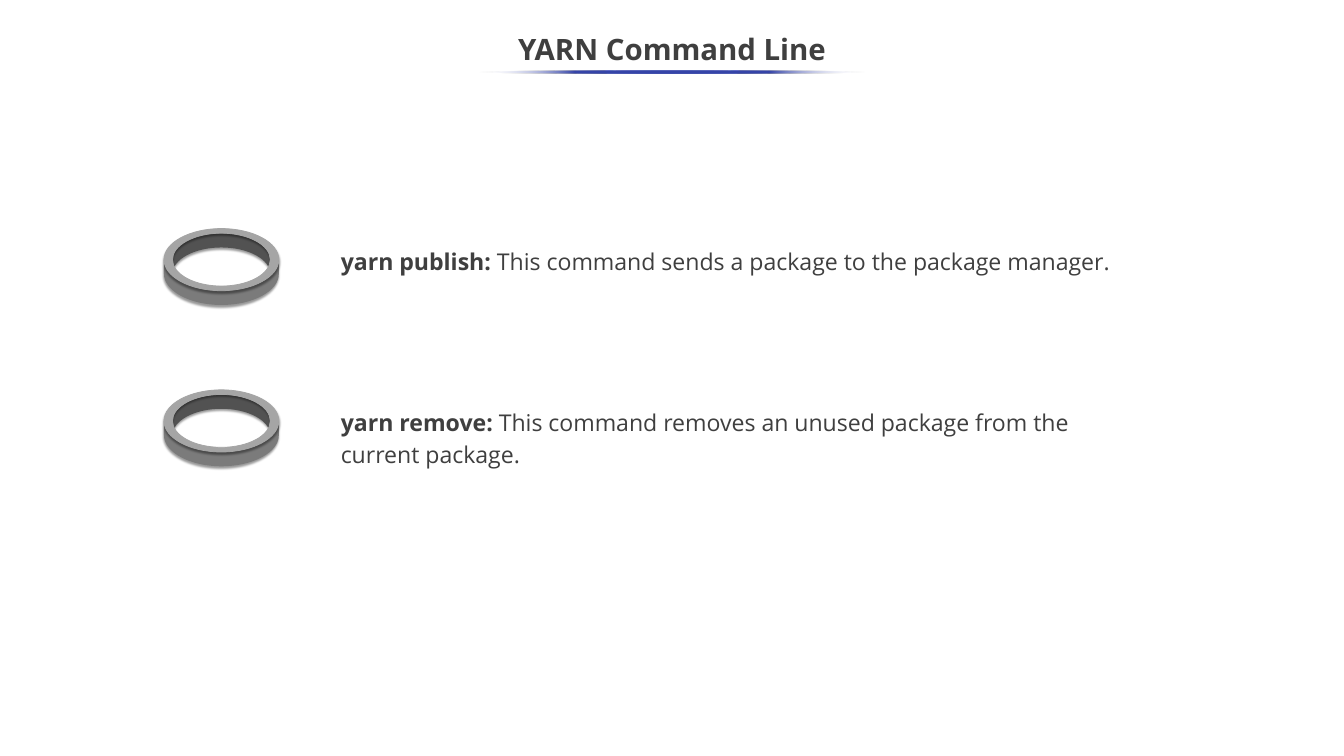
from dataclasses import dataclass

from lxml import etree
from pptx import Presentation
from pptx.dml.color import RGBColor
from pptx.enum import shapes, text
from pptx.oxml import ns
from pptx.util import Pt


@dataclass(frozen=True)
class Theme:
    font: str = "Open Sans"
    ink: str = "3F3F3F"
    accent: str = "3645A9"
    paper: str = "FFFFFF"
    ring_top: str = "A5A5A5"
    ring_front: str = "7B7B7B"
    ring_inside: str = "525252"
    shadow: str = "000000"
    title_size: float = 28
    body_size: float = 22


THEME = Theme()
PAGE_WIDTH, PAGE_HEIGHT = 1280.16, 720
RING_SIZE = (109.4, 72.8)
RING_DEPTH = 13.6
ROW_PITCH = 153.6
QUARTERS = [(1, 0), (0, 1), (-1, 0), (0, -1)]
BEND = 0.55  # control point distance for a quarter ellipse
COMMANDS = [
    ("yarn publish: ", "This command sends a package to the package manager.",
     dict(top=231.84, width=875.5, height=33.8, spacing=1.0)),
    ("yarn remove: ", "This command removes an unused package from the current package.",
     dict(top=381.6, width=766.8, height=67, spacing=1.15)),
]


def add_xml(parent, tag, **attributes):
    return etree.SubElement(parent, ns.qn(tag), attributes)


def add_colour(parent, colour, alpha=100):
    node = add_xml(parent, "a:srgbClr", val=colour)
    if alpha < 100:
        add_xml(node, "a:alpha", val=str(alpha * 1000))


def add_text(page, spans, left, top, width, height, size, spacing=1.0,
             align=text.PP_ALIGN.LEFT, anchor=text.MSO_ANCHOR.TOP):
    """Place one paragraph made of (wording, bold) spans."""
    box = page.shapes.add_textbox(Pt(left), Pt(top), Pt(width), Pt(height))
    frame = box.text_frame
    frame.word_wrap = True
    frame.vertical_anchor = anchor
    para = frame.paragraphs[0]
    para.alignment = align
    para.line_spacing = spacing
    for wording, bold in spans:
        span = para.add_run()
        span.text = wording
        span.font.name = THEME.font
        span.font.size = Pt(size)
        span.font.bold = bold
        span.font.color.rgb = RGBColor.from_string(THEME.ink)


def add_heading(page, left, top, width, height):
    add_text(page, [("YARN Command Line", True)], left, top, width, height,
             THEME.title_size, spacing=1.15, align=text.PP_ALIGN.CENTER,
             anchor=text.MSO_ANCHOR.MIDDLE)


def add_underline(page, left, top, width, height):
    """Draw a thin ellipse that fades out at both ends."""
    rule = page.shapes.add_shape(shapes.MSO_SHAPE.OVAL, Pt(left), Pt(top),
                                 Pt(width), Pt(height))
    rule.shadow.inherit = False
    rule.line.fill.background()
    rule.fill.gradient()
    rule.fill.gradient_angle = 180
    stops = rule.element.spPr.find(".//" + ns.qn("a:gsLst"))
    stops.clear()
    for position in (0, 25, 50, 75, 100):
        stop = add_xml(stops, "a:gs", pos=str(position * 1000))
        if position in (0, 100):
            add_colour(stop, THEME.paper, alpha=0)
        else:
            add_colour(stop, THEME.accent)


def arc(centre, radii, quarters, drop=0):
    """List the extreme points of an ellipse, counted clockwise from the right."""
    return [(Pt(centre[0] + radii[0] * x), Pt(centre[1] + radii[1] * y + drop))
            for x, y in (QUARTERS[quarter % 4] for quarter in quarters)]


def bend_path(outline):
    """Turn each slanted line of a freeform into a quarter ellipse."""
    middle = outline.width / 2
    path = outline.element.spPr.find(".//" + ns.qn("a:path"))
    for node in list(path):
        point = node.find(ns.qn("a:pt"))
        if point is None:
            continue
        x, y = int(point.get("x")), int(point.get("y"))
        if node.tag == ns.qn("a:lnTo") and abs(x - old_x) > 2 and abs(y - old_y) > 2:
            across, down = BEND * (x - old_x), BEND * (y - old_y)
            if abs(old_x - middle) <= 2:
                controls = [(old_x + across, old_y), (x, y - down)]
            else:
                controls = [(old_x, old_y + down), (x - across, y)]
            curve = etree.Element(ns.qn("a:cubicBezTo"))
            for px, py in controls + [(x, y)]:
                add_xml(curve, "a:pt", x=str(round(px)), y=str(round(py)))
            path.replace(node, curve)
        old_x, old_y = x, y


def add_outline(group, contours, colour):
    first, *others = contours
    builder = group.shapes.build_freeform(*first[0])
    builder.add_line_segments(first[1:], close=True)
    for contour in others:
        builder.move_to(*contour[0])
        builder.add_line_segments(contour[1:], close=True)
    outline = builder.convert_to_shape()
    bend_path(outline)
    outline.fill.solid()
    outline.fill.fore_color.rgb = RGBColor.from_string(colour)
    outline.line.fill.background()
    outline.shadow.inherit = False
    effects = outline.element.spPr.find(ns.qn("a:effectLst"))
    shadow = add_xml(effects, "a:outerShdw", blurRad=str(Pt(2)), dist=str(Pt(2)),
                     dir="5400000", rotWithShape="0")
    add_colour(shadow, THEME.shadow, alpha=40)
    return outline


def add_ring(page, left, top, width, height):
    group = page.shapes.add_group_shape()
    outer = (width / 2, (height - RING_DEPTH) / 2)
    inner = (outer[0] - 8.1, outer[1] - 4.4)
    centre = (left + outer[0], top + outer[1])

    def wall(radii, quarters):
        return [arc(centre, radii, quarters)
                + arc(centre, radii, quarters[::-1], drop=RING_DEPTH)]

    add_outline(group, wall(inner, range(2, 5)), THEME.ring_inside)
    add_outline(group, wall(outer, range(3)), THEME.ring_front)
    rim = add_outline(group, [arc(centre, outer, range(5)),
                              arc(centre, inner, range(4, -1, -1))], THEME.ring_top)
    rim.line.color.rgb = RGBColor.from_string(THEME.ring_top)
    rim.line.width = Pt(0.75)


def add_command(page, name, meaning, left, **layout):
    add_text(page, [(name, True), (meaning, False)], left, size=THEME.body_size, **layout)


def main():
    deck = Presentation()
    deck.slide_width, deck.slide_height = Pt(PAGE_WIDTH), Pt(PAGE_HEIGHT)
    page = deck.slides.add_slide(deck.slide_layouts[6])
    add_heading(page, 0, 16.6, PAGE_WIDTH, 54)
    for row, (name, meaning, layout) in enumerate(COMMANDS):
        add_ring(page, 156.2, 217.7 + row * ROW_PITCH, *RING_SIZE)
        add_command(page, name, meaning, 317.5, **layout)
    add_underline(page, 455.8, 67, 368.6, 2.9)
    deck.save("out.pptx")


if __name__ == "__main__":
    main()
